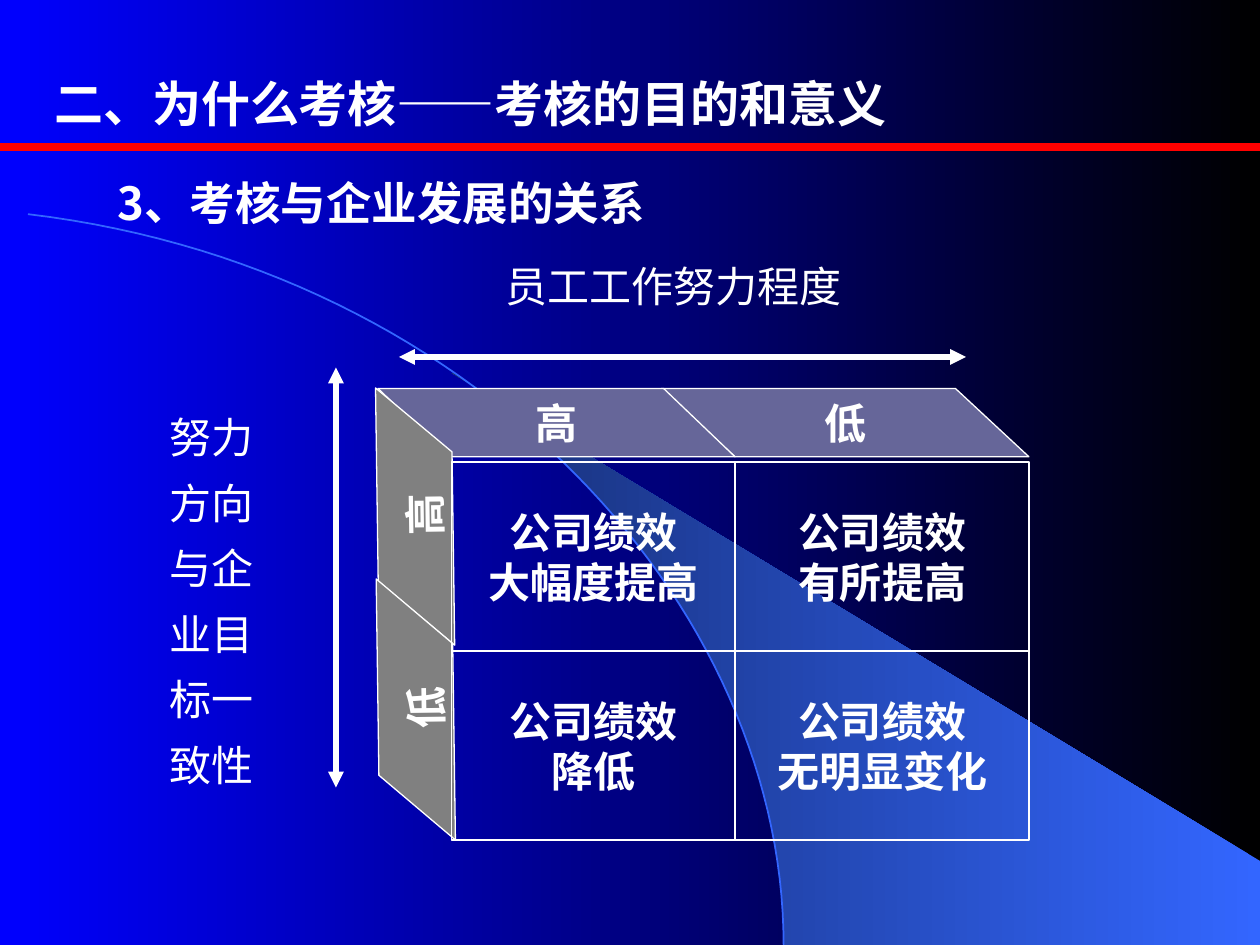
import pptx
import pptx.dml.color
import pptx.enum.shapes
import pptx.enum.text
import pptx.oxml.ns
import pptx.util
from lxml import etree

Pt = pptx.util.Pt
SHAPE = pptx.enum.shapes.MSO_SHAPE
ANCHOR = pptx.enum.text.MSO_ANCHOR
ALIGN = pptx.enum.text.PP_ALIGN
qn = pptx.oxml.ns.qn

COLORS = {"white": "FFFFFF", "black": "000000", "blue": "0000FF", "red": "FF0000",
          "arc": "3366FF", "beam": "172F75", "effort": "666699", "direction": "808080"}
CJK_FONT = "Noto Sans CJK SC"
MATRIX_FONT = "Times New Roman"


def rgb(name):
    return pptx.dml.color.RGBColor.from_string(COLORS[name])


def set_gradient(fill, first, last):
    fill.gradient()
    fill.gradient_angle = 180
    for stop, name in zip(fill.gradient_stops, (first, last)):
        stop.color.rgb = rgb(name)


def write(paragraph, words, size, font_name, bold):
    run = paragraph.add_run()
    run.text = words
    run.font.size = Pt(size)
    run.font.bold = bold
    run.font.color.rgb = rgb("white")
    run.font.name = font_name
    east_asian = etree.SubElement(run.font._element, qn("a:ea"))
    east_asian.set("typeface", CJK_FONT)


def add_label(slide, box, words, size, bold=False, spacing=1.3, anchor=ANCHOR.MIDDLE):
    frame = slide.shapes.add_textbox(*map(Pt, box)).text_frame
    frame.word_wrap = True
    frame.vertical_anchor = anchor
    frame.paragraphs[0].line_spacing = spacing
    write(frame.paragraphs[0], words, size, CJK_FONT, bold)


def add_block(slide, preset, box, lines, fill=None):
    block = slide.shapes.add_shape(preset, *map(Pt, box))
    block.shadow.inherit = False
    if fill:
        block.fill.solid()
        block.fill.fore_color.rgb = rgb(fill)
    else:
        block.fill.background()
    block.line.color.rgb = rgb("white")
    block.line.width = Pt(0.75)
    frame = block.text_frame
    frame.word_wrap = False
    frame.vertical_anchor = ANCHOR.MIDDLE
    for index, words in enumerate(lines):
        paragraph = frame.add_paragraph() if index else frame.paragraphs[0]
        paragraph.alignment = ALIGN.CENTER
        write(paragraph, words, 24, MATRIX_FONT, True)
    return block


def add_top_header(slide, box, level):
    header = add_block(slide, SHAPE.FLOWCHART_DATA, box, [level], "effort")
    header._element.spPr.find(qn("a:xfrm")).set("flipH", "1")


def add_side_header(slide, box, level, slant):
    header = add_block(slide, SHAPE.PARALLELOGRAM, box, [level], "direction")
    header.adjustments[0] = slant
    header.rotation = 89.2
    frame = header.text_frame
    frame.margin_left = frame.margin_right = Pt(3.6)
    frame.margin_top = frame.margin_bottom = Pt(7.2)
    body = frame._txBody.find(qn("a:bodyPr"))
    body.set("rot", "10800000")
    body.set("vert", "eaVert")


def add_rule(slide, ends, color, width, arrows=False):
    rule = slide.shapes.add_connector(
        pptx.enum.shapes.MSO_CONNECTOR.STRAIGHT, *map(Pt, ends))
    rule.line.color.rgb = rgb(color)
    rule.line.width = Pt(width)
    if arrows:
        for end in ("a:headEnd", "a:tailEnd"):
            etree.SubElement(rule.line._get_or_add_ln(), qn(end)).set("type", "triangle")
    etree.SubElement(rule._element.spPr, qn("a:effectLst"))


def add_outline(slide, points, close):
    (start_x, start_y), *rest = [(Pt(x), Pt(y)) for x, y in points]
    builder = slide.shapes.build_freeform(start_x, start_y)
    builder.add_line_segments(rest, close=close)
    outline = builder.convert_to_shape()
    outline.shadow.inherit = False
    return outline


def curve_point(controls, t):
    weights = ((1 - t) ** 3, 3 * t * (1 - t) ** 2, 3 * t * t * (1 - t), t ** 3)
    return tuple(sum(w * c[axis] for w, c in zip(weights, controls)) for axis in (0, 1))


def add_backdrop(slide):
    set_gradient(slide.background.fill, "black", "blue")
    controls = ((16, 122.4), (275, 153.4), (447.8, 349), (447.8, 540))
    curve = [curve_point(controls, step / 60) for step in range(61)]
    beam_left = 258
    edge = [point for point in curve if point[0] > beam_left]
    beam = add_outline(slide, [(beam_left, 213), *edge, (720, 540), (720, 492)], True)
    set_gradient(beam.fill, "arc", "beam")
    beam.line.fill.background()
    arc = add_outline(slide, curve, False)
    arc.fill.background()
    arc.line.color.rgb = rgb("arc")
    arc.line.width = Pt(1)


def add_matrix(slide):
    columns = ((258, 162), (420, 168))
    top, height = 264, 108
    outcomes = (("大幅度提高", "有所提高"), ("降低", "无明显变化"))
    add_top_header(slide, (378, 222, 210, 39), "低")
    add_top_header(slide, (216, 222, 204, 39), "高")
    add_side_header(slide, (163.4, 273.6, 147.6, 43.2), "高", 0.86)
    add_side_header(slide, (162.7, 383.8, 149.8, 43.2), "低", 0.87)
    for row, results in enumerate(outcomes):
        for (left, width), result in zip(columns, results):
            cell = (left, top + row * height, width, height)
            add_block(slide, SHAPE.RECTANGLE, cell, ["公司绩效", result])


def main():
    """Build the slide on how appraisal relates to company development."""
    deck = pptx.Presentation()
    deck.slide_width, deck.slide_height = Pt(720), Pt(540)
    slide = deck.slides.add_slide(deck.slide_layouts[6])
    add_backdrop(slide)
    add_label(slide, (60, 90, 606, 42), "3、考核与企业发展的关系", 26, True)
    add_rule(slide, (0, 84, 720, 84), "red", 4.5)
    add_label(slide, (24, 30, 678, 50), "二、为什么考核——考核的目的和意义", 28, True,
              1.25, ANCHOR.TOP)
    add_matrix(slide)
    add_label(slide, (90, 180, 78, 318), "努力方向与企业目标一致性", 24)
    add_label(slide, (282, 138, 378, 42), "员工工作努力程度", 24)
    add_rule(slide, (228, 204, 552, 204), "white", 3, True)
    add_rule(slide, (192, 210, 192, 450), "white", 3, True)
    deck.save("out.pptx")


if __name__ == "__main__":
    main()
